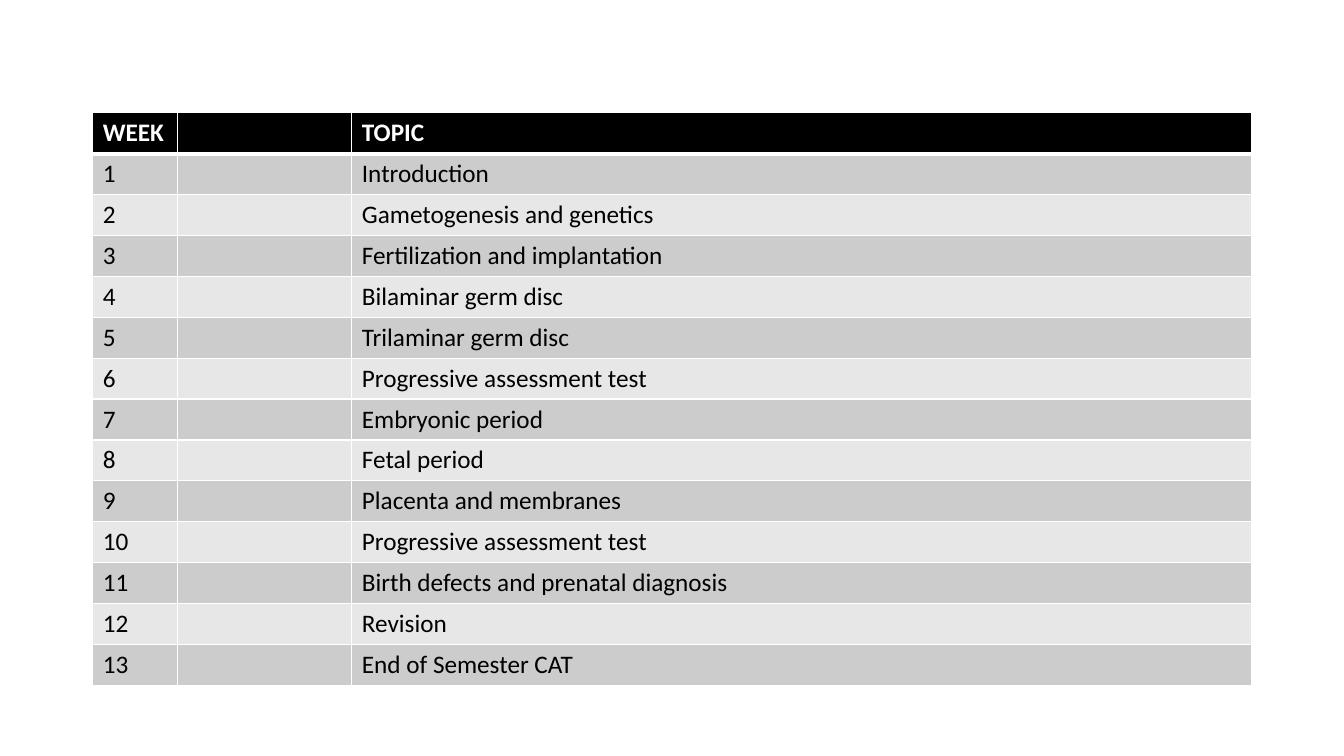
from dataclasses import dataclass

from lxml import etree
from pptx import Presentation
from pptx import util as u
from pptx.dml import color
from pptx.oxml import ns

WHITE, BLACK = "FFFFFF", "000000"
BANDS = ("CCCCCC", "E7E7E7")
COLUMN_WIDTHS = (0.84, 1.73, 8.92)
TABLE_HEIGHT = 5.68
TOPICS = (
    "Introduction",
    "Gametogenesis and genetics",
    "Fertilization and implantation",
    "Bilaminar germ disc",
    "Trilaminar germ disc",
    "Progressive assessment test",
    "Embryonic period",
    "Fetal period",
    "Placenta and membranes",
    "Progressive assessment test",
    "Birth defects and prenatal diagnosis",
    "Revision",
    "End of Semester CAT",
)


@dataclass(frozen=True)
class ScheduleRow:
    texts: tuple[str, str, str]
    fill: str
    ink: str = BLACK
    bold: bool = False
    top: float = 1
    bottom: float = 1


def rgb(value: str) -> color.RGBColor:
    return color.RGBColor.from_string(value)


def add_border(cell, side: str, width: float) -> None:
    line = etree.SubElement(cell._tc.get_or_add_tcPr(), ns.qn(f"a:ln{side}"), w=str(u.Pt(width)))
    fill = etree.SubElement(line, ns.qn("a:solidFill"))
    etree.SubElement(fill, ns.qn("a:srgbClr"), val=WHITE)


def draw_cell(cell, text: str, row: ScheduleRow) -> None:
    # Borders come before the fill in the cell properties
    for side, width in (("L", 1), ("R", 1), ("T", row.top), ("B", row.bottom)):
        add_border(cell, side, width)
    cell.fill.solid()
    cell.fill.fore_color.rgb = rgb(row.fill)
    cell.text_frame.text = text
    font = cell.text_frame.paragraphs[0].font
    font.name, font.size, font.bold = "Calibri", u.Pt(18), row.bold
    font.color.rgb = rgb(row.ink)


def draw_schedule(page, rows: list[ScheduleRow]) -> None:
    table = page.shapes.add_table(
        len(rows), len(COLUMN_WIDTHS), u.Inches(0.92), u.Inches(1.12),
        u.Inches(sum(COLUMN_WIDTHS)), u.Inches(TABLE_HEIGHT),
    ).table
    for column, width in zip(table.columns, COLUMN_WIDTHS):
        column.width = u.Inches(width)
    for table_row, row in zip(table.rows, rows):
        table_row.height = u.Inches(TABLE_HEIGHT / len(rows))
        for cell, text in zip(table_row.cells, row.texts):
            draw_cell(cell, text, row)


def main() -> None:
    deck = Presentation()
    deck.slide_width, deck.slide_height = u.Inches(13.33), u.Inches(7.5)
    page = deck.slides.add_slide(deck.slide_layouts[6])

    # Heading row, then one banded row per week
    rows = [ScheduleRow(("WEEK", "", "TOPIC"), BLACK, WHITE, bold=True, bottom=3)]
    for week, topic in enumerate(TOPICS, start=1):
        rows.append(ScheduleRow(
            (str(week), "", topic), BANDS[(week - 1) % 2], top=3 if week == 1 else 1,
        ))
    draw_schedule(page, rows)
    deck.save("out.pptx")


if __name__ == "__main__":
    main()
